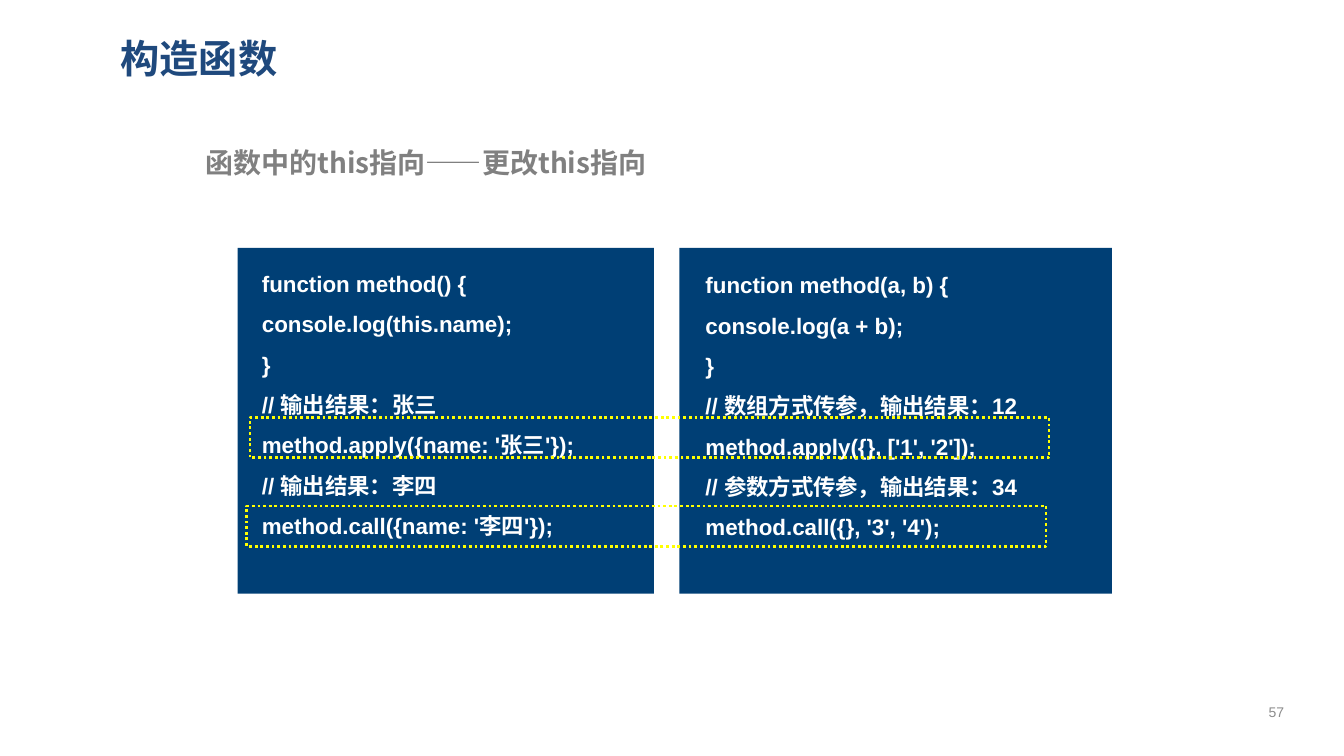
from dataclasses import dataclass

from lxml import etree
from pptx import Presentation
from pptx.dml.color import RGBColor
from pptx.enum.dml import MSO_LINE
from pptx.enum.shapes import MSO_SHAPE
from pptx.enum.text import MSO_ANCHOR, PP_ALIGN
from pptx.oxml.ns import qn
from pptx.util import Cm, Pt

RECTANGLE = MSO_SHAPE.RECTANGLE
DOTTED = MSO_LINE.ROUND_DOT
TOP, MIDDLE = MSO_ANCHOR.TOP, MSO_ANCHOR.MIDDLE
LEFT, CENTER = PP_ALIGN.LEFT, PP_ALIGN.CENTER


@dataclass(frozen=True)
class Style:
    """Look of one kind of text."""

    size: int
    color: str
    font: str
    bold: bool = True
    spacing: float = 1.0


@dataclass(frozen=True)
class Theme:
    """Colours, fonts and type sizes of the slide."""

    panel: str = "003F75"
    frame: str = "FFFF00"
    frame_width: int = 2
    chinese: str = "Noto Sans CJK SC"
    title: Style = Style(28, "1F497D", "Noto Sans CJK SC")
    subtitle: Style = Style(20, "808080", "Noto Sans CJK SC")
    code: Style = Style(16, "FFFFFF", "Arial", spacing=1.5)
    number: Style = Style(10, "8C8C8C", "Arial", bold=False)


THEME = Theme()

METHOD_WITH_NAME = (
    "function method() {",
    "console.log(this.name);",
    "}",
    "// 输出结果：张三",
    "method.apply({name: '张三'});",
    "// 输出结果：李四",
    "method.call({name: '李四'});",
)
METHOD_WITH_ARGUMENTS = (
    "function method(a, b) {",
    "console.log(a + b);",
    "}",
    "// 数组方式传参，输出结果：12",
    "method.apply({}, ['1', '2']);",
    "// 参数方式传参，输出结果：34",
    "method.call({}, '3', '4');",
)


def lengths(*values):
    """Turn centimetre values into lengths."""
    return [Cm(value) for value in values]


def style_paragraph(para, style):
    """Set the font, colour and line spacing of a paragraph."""
    para.line_spacing = style.spacing
    font = para.font
    font.size, font.bold, font.name = Pt(style.size), style.bold, style.font
    font.color.rgb = RGBColor.from_string(style.color)
    defaults = para._p.pPr.find(qn("a:defRPr"))
    etree.SubElement(defaults, qn("a:ea")).set("typeface", THEME.chinese)


def add_text(shapes, area, lines, style, anchor=TOP, align=LEFT):
    """Add a wrapping text box with one paragraph for each line."""
    frame = shapes.add_textbox(*lengths(*area)).text_frame
    frame.word_wrap = True
    frame.vertical_anchor = anchor
    frame.text = "\n".join(lines)
    for para in frame.paragraphs:
        para.alignment = align
        style_paragraph(para, style)


def add_rectangle(shapes, area):
    """Add a rectangle without a shadow."""
    box = shapes.add_shape(RECTANGLE, *lengths(*area))
    box.shadow.inherit = False
    return box


def add_code_panel(page, panel_area, text_area, lines):
    """Add a grouped dark panel with lines of code."""
    shapes = page.shapes.add_group_shape().shapes
    panel = add_rectangle(shapes, panel_area)
    panel.fill.solid()
    panel.fill.fore_color.rgb = RGBColor.from_string(THEME.panel)
    panel.line.fill.background()
    add_text(shapes, text_area, lines, THEME.code)


def add_highlight(page, left, top):
    """Add a dotted frame across both panels."""
    frame = add_rectangle(page.shapes, (left, top, 20.14, 1.02))
    frame.fill.background()
    frame.line.color.rgb = RGBColor.from_string(THEME.frame)
    frame.line.width = Pt(THEME.frame_width)
    frame.line.dash_style = DOTTED


def main():
    """Build the slide and save it."""
    deck = Presentation()
    deck.slide_width, deck.slide_height = Cm(33.87), Cm(19.05)
    page = deck.slides.add_slide(deck.slide_layouts[6])

    add_text(page.shapes, (2.79, 0.61, 29.59, 1.7), ["构造函数"], THEME.title, MIDDLE)
    add_text(page.shapes, (4.93, 3.53, 23.42, 1.12),
             ["函数中的this指向——更改this指向"], THEME.subtitle)
    add_code_panel(page, (5.99, 6.25, 10.49, 8.71),
                   (6.35, 6.35, 10.11, 8.26), METHOD_WITH_NAME)
    add_code_panel(page, (17.12, 6.25, 10.9, 8.71),
                   (17.53, 6.38, 10.11, 8.23), METHOD_WITH_ARGUMENTS)
    for left, top in ((6.3, 10.52), (6.22, 12.75)):
        add_highlight(page, left, top)
    add_text(page.shapes, (31.34, 17.42, 1.65, 1.02), ["57"],
             THEME.number, MIDDLE, CENTER)

    deck.save("out.pptx")


if __name__ == "__main__":
    main()
